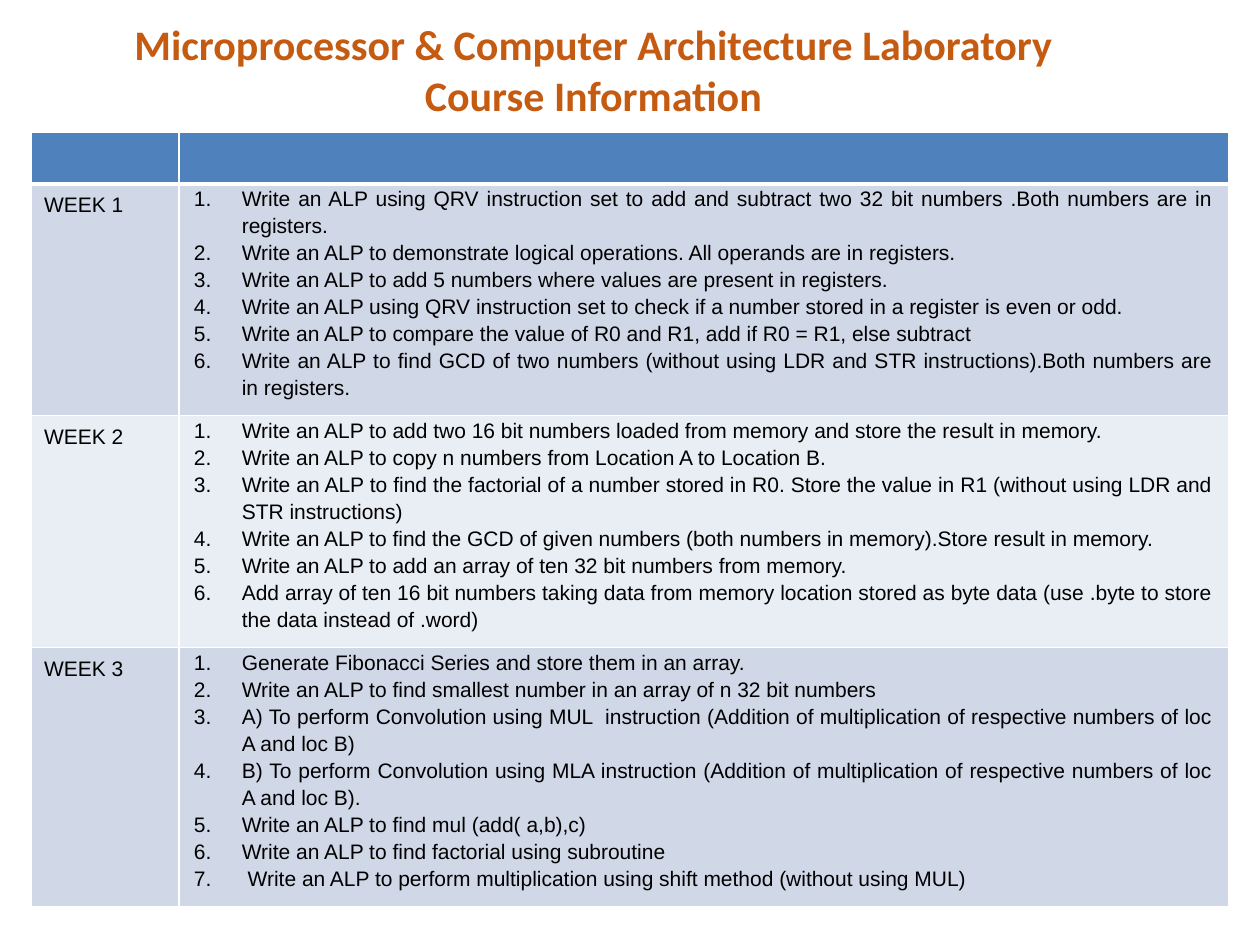
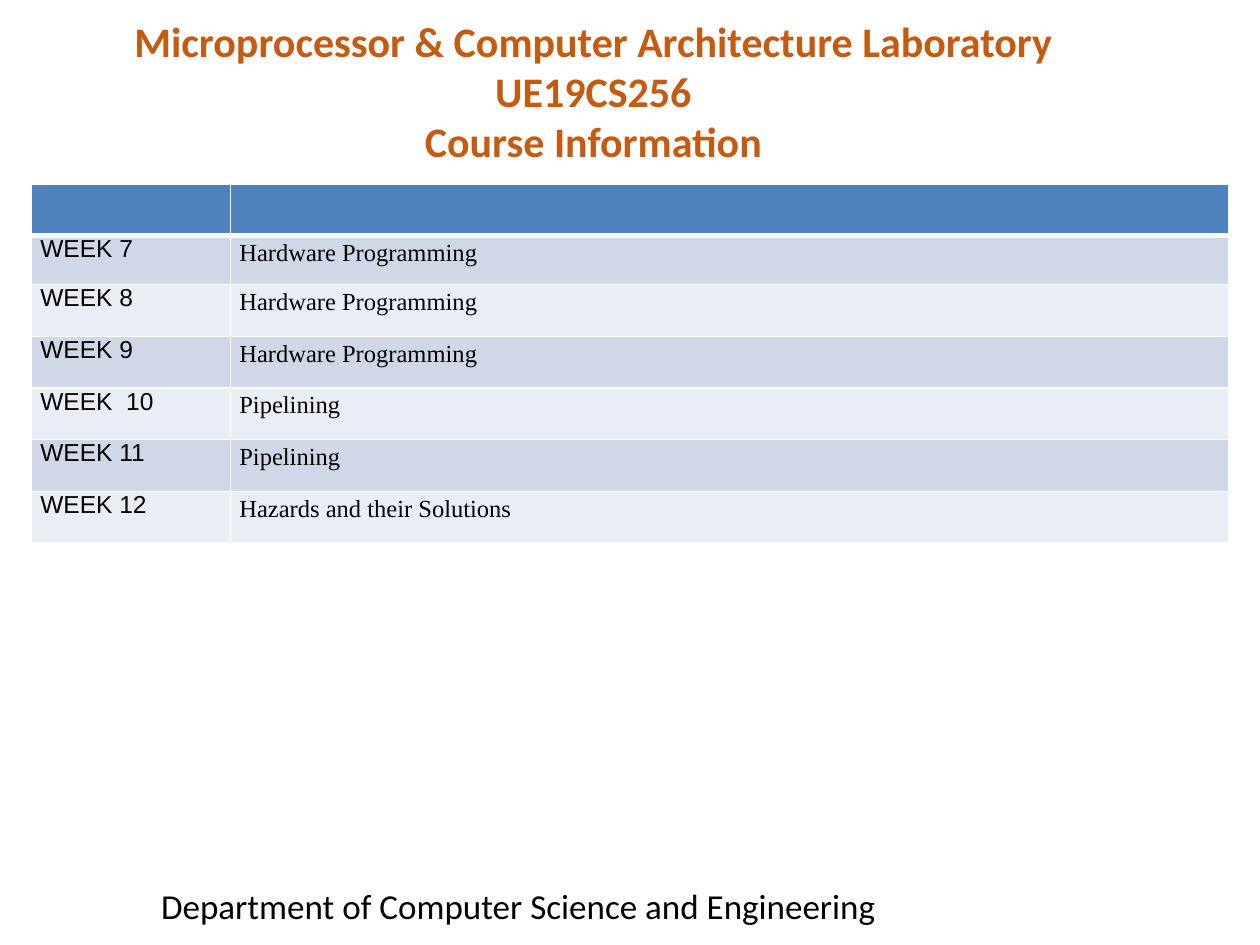
from dataclasses import dataclass

from lxml import etree
from pptx import Presentation
from pptx.dml.color import RGBColor
from pptx.enum.text import MSO_ANCHOR, MSO_AUTO_SIZE, PP_ALIGN
from pptx.oxml.ns import qn
from pptx.util import Inches, Pt

TOP = MSO_ANCHOR.TOP
NO_AUTOFIT = MSO_AUTO_SIZE.NONE
LEFT, CENTER, JUSTIFY = PP_ALIGN.LEFT, PP_ALIGN.CENTER, PP_ALIGN.JUSTIFY

# Shared look
ORANGE, BLACK, WHITE = "C55A11", "000000", "FFFFFF"
HEADER_FILL = "4F81BD"
BAND_FILLS = ("D0D8E8", "E9EDF4")
MARGIN, TABLE_WIDTH = 0.25, 9.5
COURSE = "Microprocessor & Computer Architecture Laboratory"


@dataclass(frozen=True)
class CellStyle:
    font: str
    size: int
    align: PP_ALIGN
    spacing: float
    inset_x: float
    inset_y: float
    numbered: bool = False


@dataclass(frozen=True)
class Schedule:
    """A table of weeks: one label and a list of paragraphs per row."""
    top: float
    label_width: float
    row_heights: list[float]
    rows: list[tuple[str, list[str]]]
    label_style: CellStyle
    body_style: CellStyle


LAB_SCHEDULE = Schedule(
    top=1.05,
    label_width=1.17,
    row_heights=[0.41, 1.84, 1.84, 2.06],
    rows=[
        ("WEEK 1", [
            "Write an ALP using QRV instruction set to add and subtract two 32 bit numbers "
            ".Both numbers are in registers.",
            "Write an ALP to demonstrate logical operations. All operands are in registers.",
            "Write an ALP to add 5 numbers where values are present in registers.",
            "Write an ALP using QRV instruction set to check if a number stored in a register "
            "is even or odd.",
            "Write an ALP to compare the value of R0 and R1, add if R0 = R1, else subtract",
            "Write an ALP to find GCD of two numbers (without using LDR and STR instructions)."
            "Both numbers are in registers.",
        ]),
        ("WEEK 2", [
            "Write an ALP to add two 16 bit numbers loaded from memory and store the result "
            "in memory.",
            "Write an ALP to copy n numbers from Location A to Location B.",
            "Write an ALP to find the factorial of a number stored in R0. Store the value in R1 "
            "(without using LDR and STR instructions)",
            "Write an ALP to find the GCD of given numbers (both numbers in memory)."
            "Store result in memory.",
            "Write an ALP to add an array of ten 32 bit numbers from memory.",
            "Add array of ten 16 bit numbers taking data from memory location stored as byte "
            "data (use .byte to store the data instead of .word)",
        ]),
        ("WEEK 3", [
            "Generate Fibonacci Series and store them in an array.",
            "Write an ALP to find smallest number in an array of n 32 bit numbers",
            "A) To perform Convolution using MUL  instruction (Addition of multiplication of "
            "respective numbers of loc A and loc B)",
            "B) To perform Convolution using MLA instruction (Addition of multiplication of "
            "respective numbers of loc A and loc B).",
            "Write an ALP to find mul (add( a,b),c)",
            "Write an ALP to find factorial using subroutine",
            " Write an ALP to perform multiplication using shift method (without using MUL)",
        ]),
    ],
    label_style=CellStyle("Arial", 12, JUSTIFY, 1.15, 0.1, 0.05),
    body_style=CellStyle("Arial", 12, JUSTIFY, 1.15, 0.12, 0, numbered=True),
)

TOPIC_SCHEDULE = Schedule(
    top=1.46,
    label_width=1.58,
    row_heights=[0.41, 0.39] + [0.41] * 5,
    rows=[
        ("WEEK 7", ["Hardware Programming"]),
        ("WEEK 8", ["Hardware Programming"]),
        ("WEEK 9", ["Hardware Programming"]),
        ("WEEK  10", ["Pipelining"]),
        ("WEEK 11", ["Pipelining"]),
        ("WEEK 12", ["Hazards and their Solutions"]),
    ],
    label_style=CellStyle("Arial", 14, LEFT, 1.0, 0.07, 0),
    body_style=CellStyle("Times New Roman", 14, LEFT, 1.15, 0.07, 0),
)


def rgb(color: str) -> RGBColor:
    return RGBColor.from_string(color)


def format_runs(p, font: str, size: int, color: str, bold: bool = False) -> None:
    for r in p.runs:
        r.font.name, r.font.size, r.font.bold = font, Pt(size), bold
        r.font.color.rgb = rgb(color)


def number_paragraph(p) -> None:
    pPr = p._p.get_or_add_pPr()
    pPr.set("marL", str(Inches(0.38)))
    pPr.set("indent", str(-Inches(0.38)))
    etree.SubElement(pPr, qn("a:buAutoNum"), type="arabicPeriod")


def style_cell(cell, fill: str, top_width: float = 1, bottom_width: float = 1) -> None:
    # Borders come before the fill in the cell properties
    tcPr = cell._tc.get_or_add_tcPr()
    widths = {"lnL": 1, "lnR": 1, "lnT": top_width, "lnB": bottom_width}
    for side, width in widths.items():
        ln = etree.SubElement(tcPr, qn(f"a:{side}"), w=str(Pt(width)))
        solid = etree.SubElement(ln, qn("a:solidFill"))
        etree.SubElement(solid, qn("a:srgbClr"), val=WHITE)
    cell.fill.solid()
    cell.fill.fore_color.rgb = rgb(fill)


def write_cell(cell, lines: list[str], style: CellStyle) -> None:
    cell.margin_left = cell.margin_right = Inches(style.inset_x)
    cell.margin_top = cell.margin_bottom = Inches(style.inset_y)
    tf = cell.text_frame
    tf.text = "\n".join(lines)
    for p in tf.paragraphs:
        p.alignment, p.line_spacing = style.align, style.spacing
        format_runs(p, style.font, style.size, BLACK)
        if style.numbered:
            number_paragraph(p)


def add_schedule(s, schedule: Schedule) -> None:
    heights = schedule.row_heights
    table = s.shapes.add_table(
        len(heights), 2, Inches(MARGIN), Inches(schedule.top),
        Inches(TABLE_WIDTH), Inches(sum(heights))).table
    table.columns[0].width = Inches(schedule.label_width)
    table.columns[1].width = Inches(TABLE_WIDTH - schedule.label_width)
    for row, height in zip(table.rows, heights):
        row.height = Inches(height)

    for cell in table.rows[0].cells:
        style_cell(cell, HEADER_FILL, bottom_width=3)
    for i, (label, lines) in enumerate(schedule.rows):
        label_cell, body_cell = table.rows[i + 1].cells
        for cell in (label_cell, body_cell):
            style_cell(cell, BAND_FILLS[i % 2], top_width=3 if i == 0 else 1)
        write_cell(label_cell, [label], schedule.label_style)
        write_cell(body_cell, lines, schedule.body_style)


def add_slide(prs, title_lines: list[str], title_top: float, title_height: float,
              schedule: Schedule):
    s = prs.slides.add_slide(prs.slide_layouts[5])
    title = s.shapes.title
    title.left, title.top = Inches(MARGIN), Inches(title_top)
    title.width, title.height = Inches(8.92), Inches(title_height)
    tf = title.text_frame
    tf.text = "\n".join(title_lines)
    tf.vertical_anchor, tf.auto_size, tf.word_wrap = TOP, NO_AUTOFIT, True
    for p in tf.paragraphs:
        p.alignment = CENTER
        format_runs(p, "Calibri", 24, ORANGE, bold=True)
    add_schedule(s, schedule)
    return s


def add_department(s) -> None:
    sp = s.shapes.add_textbox(Inches(1.18), Inches(6.97), Inches(6.15), Inches(0.43))
    tf = sp.text_frame
    tf.word_wrap = True
    tf.text = "Department of Computer Science and Engineering"
    format_runs(tf.paragraphs[0], "Calibri", 20, BLACK)


def main() -> None:
    prs = Presentation()
    prs.slide_width, prs.slide_height = Inches(10), Inches(7.5)

    # Weeks 1 to 3: lab programs
    add_slide(prs, [COURSE, "Course Information"], 0.1, 0.91, LAB_SCHEDULE)

    # Weeks 7 to 12: topics
    s = add_slide(prs, [COURSE, "UE19CS256", "Course Information"], 0.07, 1.72, TOPIC_SCHEDULE)
    add_department(s)

    prs.save("out.pptx")


if __name__ == "__main__":
    main()
